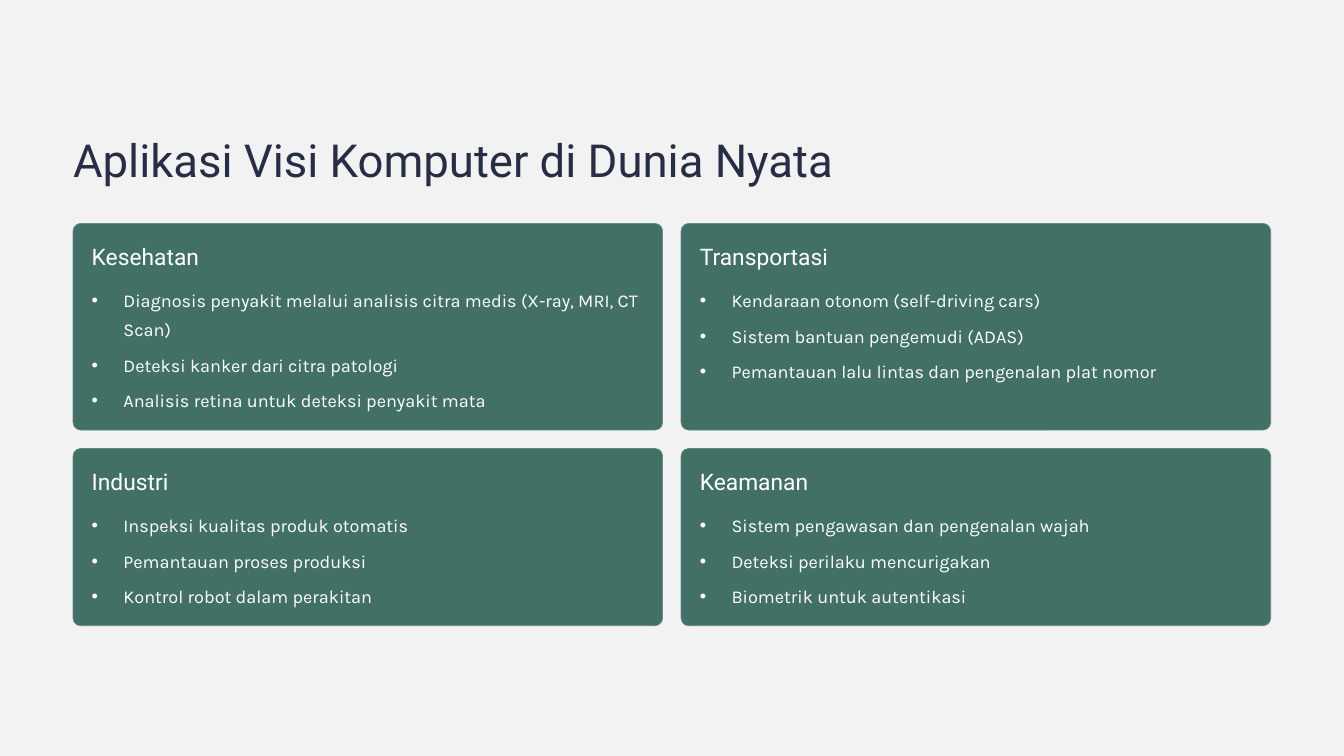
from lxml.etree import SubElement
from pptx import Presentation
from pptx.dml.color import RGBColor
from pptx.enum.shapes import MSO_SHAPE
from pptx.enum.text import MSO_ANCHOR, MSO_AUTO_SIZE, PP_ALIGN
from pptx.oxml.ns import qn
from pptx.util import Pt

PAPER = RGBColor(0xF2, 0xF2, 0xF2)
NAVY = RGBColor(0x27, 0x2D, 0x45)
GREEN = RGBColor(0x43, 0x70, 0x66)
EDGE = RGBColor(0x5C, 0x89, 0x7F)
WHITE = RGBColor(0xFF, 0xFF, 0xFF)

COMPARISON_LAYOUT = 4  # a title and four body placeholders
LEFT, CARDS_TOP, GAP = 62.6, 191.5, 15.8
CARD_WIDTH = 505.4
ROW_HEIGHTS = (177.1, 151.9)
PADDING, RADIUS = 16, 6.55

TITLE = "Aplikasi Visi Komputer di Dunia Nyata"
CARD_ROWS = (
    (
        ("Kesehatan", (
            "Diagnosis penyakit melalui analisis citra medis (X-ray, MRI, CT Scan)",
            "Deteksi kanker dari citra patologi",
            "Analisis retina untuk deteksi penyakit mata",
        )),
        ("Transportasi", (
            "Kendaraan otonom (self-driving cars)",
            "Sistem bantuan pengemudi (ADAS)",
            "Pemantauan lalu lintas dan pengenalan plat nomor",
        )),
    ),
    (
        ("Industri", (
            "Inspeksi kualitas produk otomatis",
            "Pemantauan proses produksi",
            "Kontrol robot dalam perakitan",
        )),
        ("Keamanan", (
            "Sistem pengawasan dan pengenalan wajah",
            "Deteksi perilaku mencurigakan",
            "Biometrik untuk autentikasi",
        )),
    ),
)


def place(box, left, top, width, height):
    box.left, box.top = Pt(left), Pt(top)
    box.width, box.height = Pt(width), Pt(height)


def add_bullet(paragraph, indent):
    properties = paragraph._p.get_or_add_pPr()
    properties.set("marL", str(Pt(indent)))
    properties.set("indent", str(-Pt(indent)))
    SubElement(properties, qn("a:buChar")).set("char", "•")


def write(box, lines, *, size, leading, font="Roboto", color=WHITE,
          gap=0, bullet_indent=None, wrap=False):
    """Fill a box with one paragraph per line; gap is the space between them."""
    frame = box.text_frame
    frame.auto_size = MSO_AUTO_SIZE.NONE
    frame.word_wrap = wrap
    frame.vertical_anchor = MSO_ANCHOR.TOP
    frame.margin_left = frame.margin_right = 0
    frame.margin_top = frame.margin_bottom = 0
    for number, line in enumerate(lines):
        paragraph = frame.add_paragraph() if number else frame.paragraphs[0]
        paragraph.alignment = PP_ALIGN.LEFT
        paragraph.line_spacing = Pt(leading)
        paragraph.space_before = Pt(gap if number else 0)
        paragraph.space_after = Pt(0)
        if bullet_indent:
            add_bullet(paragraph, bullet_indent)
        span = paragraph.add_run()
        span.text = line
        span.font.name = font
        span.font.size = Pt(size)
        span.font.bold = False
        span.font.color.rgb = color


def draw_title(page, left, top, width, height):
    title = page.shapes.title
    place(title, left, top, width, height)
    write(title, [TITLE], size=39, leading=48.5, color=NAVY, wrap=True)


def draw_card(page, body, heading, items, left, top, width, height):
    """Draw a rounded panel with a heading, and lay the body placeholder on it."""
    panel = page.shapes.add_shape(
        MSO_SHAPE.ROUNDED_RECTANGLE, Pt(left), Pt(top), Pt(width), Pt(height))
    panel.adjustments[0] = RADIUS / height
    panel.shadow.inherit = False
    panel.fill.solid()
    panel.fill.fore_color.rgb = GREEN
    panel.line.color.rgb = EDGE
    panel.line.width = Pt(0.6)

    label = page.shapes.add_textbox(
        Pt(left + PADDING), Pt(top + PADDING), Pt(195), Pt(24.5))
    write(label, [heading], size=19.5, leading=24)

    list_offset = 50.4
    place(body, left + PADDING, top + list_offset,
          width - 2 * PADDING, height - list_offset - PADDING)
    write(body, items, size=15.5, leading=25, font="Karla",
          gap=5.3, bullet_indent=27.2, wrap=True)
    label.element.addnext(body.element)


def draw_cards(page, left, top):
    bodies = iter([box for box in page.placeholders
                   if box.placeholder_format.idx in range(1, 5)])
    for row, height in zip(CARD_ROWS, ROW_HEIGHTS):
        for column, (heading, items) in enumerate(row):
            draw_card(page, next(bodies), heading, items,
                      left + column * (CARD_WIDTH + GAP), top, CARD_WIDTH, height)
        top += height + GAP


def main():
    deck = Presentation()
    deck.slide_width, deck.slide_height = Pt(1152), Pt(648)
    page = deck.slides.add_slide(deck.slide_layouts[COMPARISON_LAYOUT])
    page.background.fill.solid()
    page.background.fill.fore_color.rgb = PAPER
    draw_title(page, LEFT, 111.6, 680, 49)
    draw_cards(page, LEFT, CARDS_TOP)
    deck.save("out.pptx")


if __name__ == "__main__":
    main()
